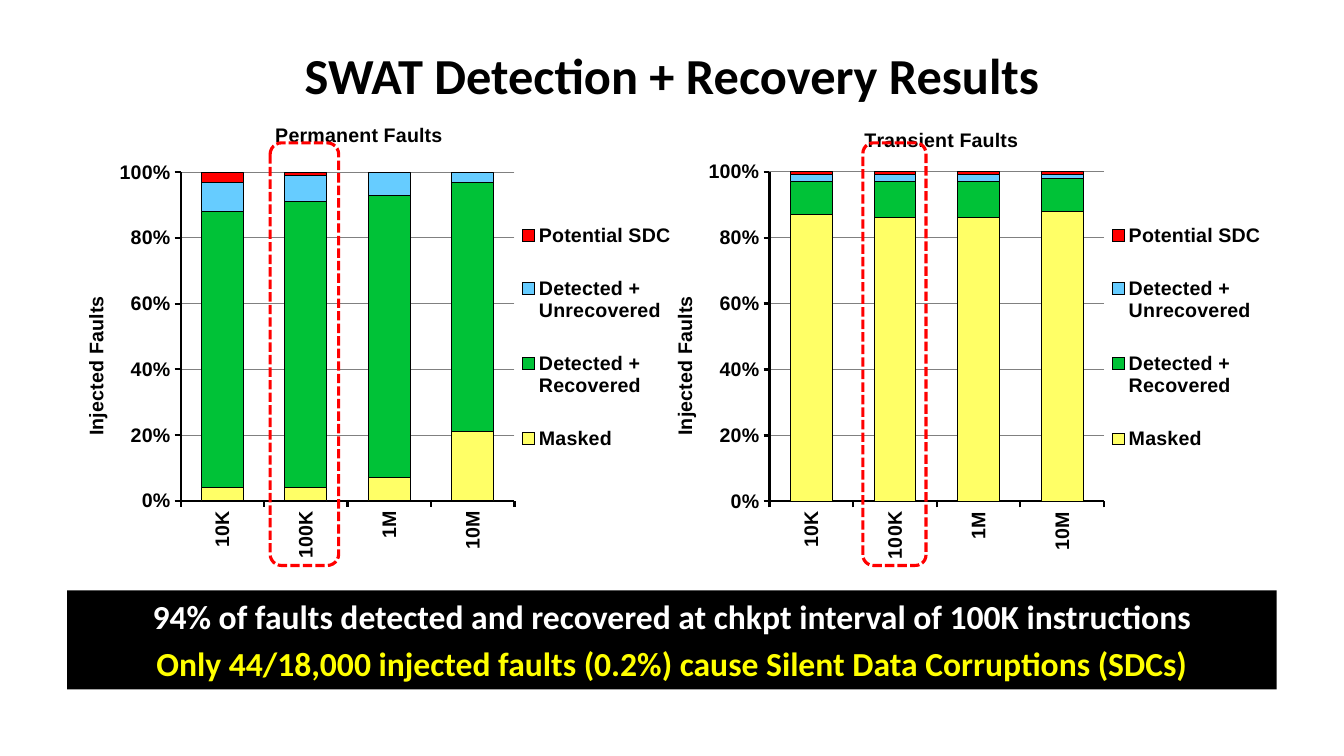
from lxml.etree import SubElement
from pptx import Presentation
from pptx.chart.data import CategoryChartData
from pptx.dml.color import RGBColor
from pptx.enum.chart import XL_CHART_TYPE, XL_LEGEND_POSITION, XL_TICK_MARK
from pptx.enum.dml import MSO_LINE
from pptx.enum.shapes import MSO_SHAPE
from pptx.enum.text import MSO_ANCHOR, PP_ALIGN
from pptx.oxml import parse_xml
from pptx.oxml.ns import nsdecls, qn
from pptx.util import Inches, Pt

INTERVALS = ["10K", "100K", "1M", "10M"]
OUTCOMES = {
    "Masked": "FFFF66",
    "Detected + Recovered": "00C237",
    "Detected + Unrecovered": "66CCFF",
    "Potential SDC": "FF0000",
}
PERMANENT = [[4, 4, 7, 21], [84, 88, 85, 75], [9, 8, 7, 3], [3, 1, 0, 0]]
TRANSIENT = [[87, 87, 87, 88], [10, 11, 11, 10], [2, 2, 2, 1], [1, 1, 1, 1]]


def color(value):
    return RGBColor.from_string(value)


class FaultSlide:
    text_font = "Calibri"
    chart_font = "Arial"
    chart_size = 14
    ink = "000000"
    highlight = "FF0000"
    columns = 100
    rows = 100

    def __init__(self, deck):
        self.column = deck.slide_width / self.columns
        self.row = deck.slide_height / self.rows
        self.page = deck.slides.add_slide(deck.slide_layouts[6])

    def place(self, left, top, width, height):
        return (round(left * self.column), round(top * self.row),
                round(width * self.column), round(height * self.row))

    def style(self, font, name, size, hue):
        font.name = name
        font.size = Pt(size)
        font.bold = True
        font.color.rgb = color(hue)

    def stroke(self, line, hue, width):
        line.color.rgb = color(hue)
        line.width = Pt(width)

    def text(self, area, lines, size, fill=None, before=0):
        box = self.page.shapes.add_textbox(*self.place(*area))
        if fill:
            box.fill.solid()
            box.fill.fore_color.rgb = color(fill)
        frame = box.text_frame
        frame.word_wrap = True
        frame.vertical_anchor = MSO_ANCHOR.MIDDLE
        for index, (words, hue) in enumerate(lines):
            para = frame.add_paragraph() if index else frame.paragraphs[0]
            para.alignment = PP_ALIGN.CENTER
            para.space_before = Pt(before)
            span = para.add_run()
            span.text = words
            self.style(span.font, self.text_font, size, hue)

    def outline(self, area):
        box = self.page.shapes.add_shape(MSO_SHAPE.ROUNDED_RECTANGLE, *self.place(*area))
        box.shadow.inherit = False
        box.fill.background()
        self.stroke(box.line, self.highlight, 2.25)
        box.line.dash_style = MSO_LINE.SQUARE_DOT

    def layout(self, element, index, inner=False, **shares):
        for old in element.findall(qn("c:layout")):
            element.remove(old)
        layout = parse_xml(f"<c:layout {nsdecls('c')}/>")
        manual = SubElement(layout, qn("c:manualLayout"))
        if inner:
            SubElement(manual, qn("c:layoutTarget")).set("val", "inner")
        for name in ("x", "y"):
            SubElement(manual, qn(f"c:{name}Mode")).set("val", "edge")
        for name, share in shares.items():
            SubElement(manual, qn(f"c:{name}")).set("val", str(share))
        element.insert(index, layout)

    def caption(self, title, words, x, y):
        span = title.text_frame.paragraphs[0].add_run()
        span.text = words
        self.style(span.font, self.chart_font, self.chart_size, self.ink)
        self.layout(title._element, 1, x=x, y=y)

    def axis(self, axis):
        axis.major_tick_mark = XL_TICK_MARK.OUTSIDE
        axis.minor_tick_mark = XL_TICK_MARK.NONE
        self.stroke(axis.format.line, self.ink, 1.5)
        self.style(axis.tick_labels.font, self.chart_font, self.chart_size, self.ink)

    def chart(self, area, heading, heading_y, values):
        data = CategoryChartData()
        data.categories = INTERVALS
        for name, numbers in zip(OUTCOMES, values):
            data.add_series(name, numbers)
        chart = self.page.shapes.add_chart(
            XL_CHART_TYPE.COLUMN_STACKED_100, *self.place(*area), data).chart
        self.style(chart.font, self.chart_font, self.chart_size, self.ink)
        chart.has_title = True
        self.caption(chart.chart_title, heading, 0.33, heading_y)

        plot = chart.plots[0]
        plot.gap_width = 100
        plot.overlap = 100
        plot.vary_by_categories = False
        for series, hue in zip(plot.series, OUTCOMES.values()):
            series.format.fill.solid()
            series.format.fill.fore_color.rgb = color(hue)
            self.stroke(series.format.line, self.ink, 0.75)

        self.axis(chart.category_axis)
        labels = chart.category_axis._element.find(qn("c:txPr"))
        labels.find(qn("a:bodyPr")).set("rot", "-5400000")
        scale = chart.value_axis
        self.axis(scale)
        scale.minimum_scale = 0
        scale.maximum_scale = 1
        scale.major_unit = 0.2
        scale.tick_labels.number_format = "0%"
        scale.tick_labels.number_format_is_linked = False
        scale.has_major_gridlines = True
        self.stroke(scale.major_gridlines.format.line, "808080", 0.75)
        self.caption(scale.axis_title, "Injected Faults", 0.02, 0.4)

        chart.has_legend = True
        chart.legend.position = XL_LEGEND_POSITION.RIGHT
        chart.legend.include_in_layout = False
        self.style(chart.legend.font, self.chart_font, self.chart_size, self.ink)
        self.layout(chart.legend._element, 1, x=0.72, y=0.2, w=0.27, h=0.58)
        plot_area = chart._chartSpace.find(qn("c:chart")).find(qn("c:plotArea"))
        self.layout(plot_area, 0, inner=True, x=0.183, y=0.157, w=0.539, h=0.664)


def main():
    deck = Presentation()
    deck.slide_width = Inches(13.33)
    deck.slide_height = Inches(7.5)
    slide = FaultSlide(deck)
    slide.text((5, 4, 90, 11.6), [("SWAT Detection + Recovery Results", "000000")], 36)
    slide.text((5, 78.1, 90, 13.1), [
        ("94% of faults detected and recovered at chkpt interval of 100K instructions", "FFFFFF"),
        ("Only 44/18,000 injected faults (0.2%) cause Silent Data Corruptions (SDCs)", "FFFF00"),
    ], 24, fill="000000", before=4.8)
    slide.chart((5, 12.5, 46.1, 65.5), "Permanent Faults", 0.05, PERMANENT)
    slide.chart((48.8, 12.4, 46.2, 65.7), "Transient Faults", 0.06, TRANSIENT)
    for left, width in ((20.1, 5.1), (64.2, 4.7)):
        slide.outline((left, 18.9, width, 55.9))
    deck.save("out.pptx")


if __name__ == "__main__":
    main()
